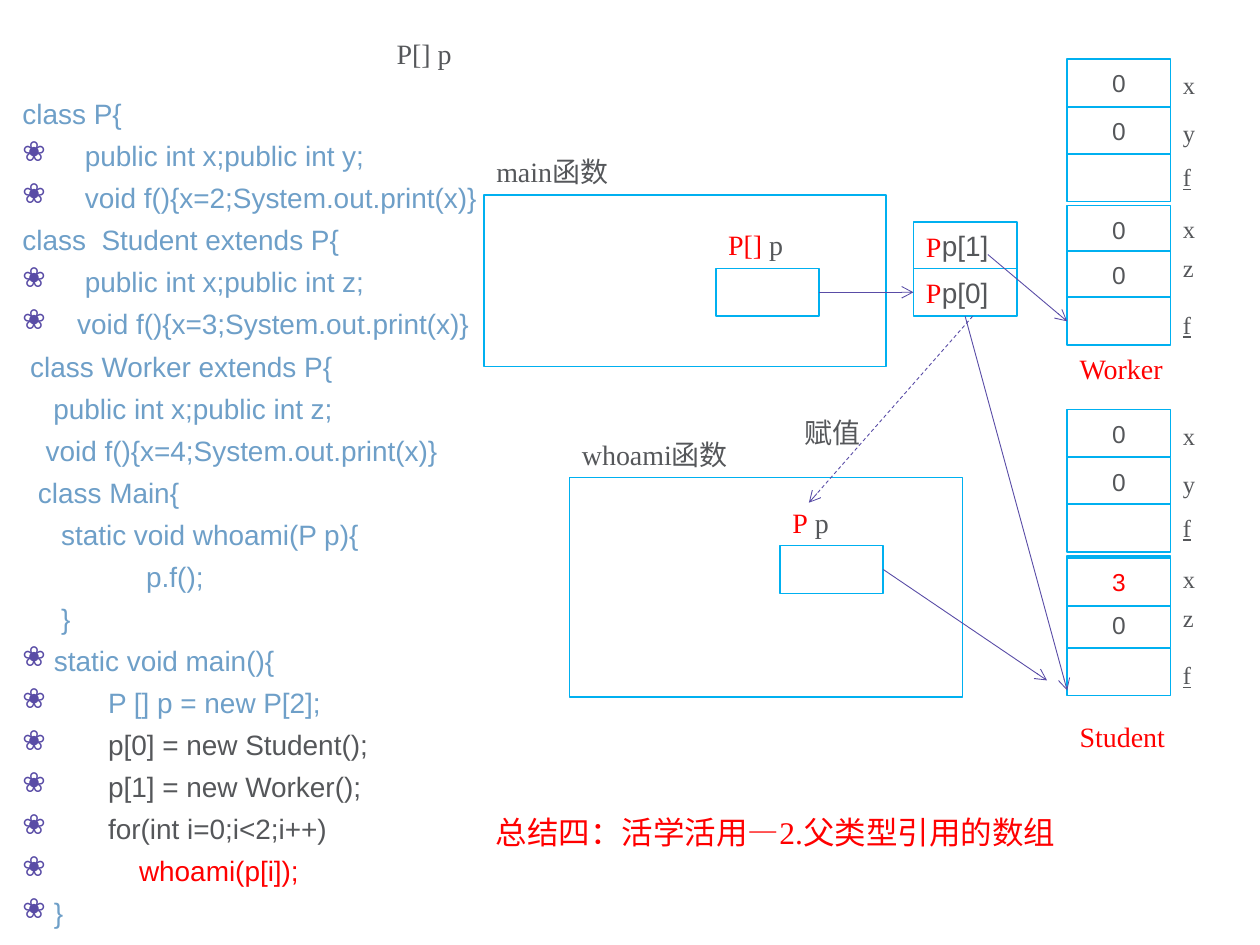
from lxml import etree
from pptx import Presentation
from pptx import util as u
from pptx.dml.color import RGBColor
from pptx.enum import dml, shapes, text
from pptx.oxml import ns

COLS, ROWS = 100, 75
UNIT = u.Inches(0.1)
GRAY = RGBColor(0x55, 0x57, 0x5A)
BLUE = RGBColor(0x6E, 0x9F, 0xC8)
CYAN = RGBColor(0x00, 0xB0, 0xF0)
PLUM = RGBColor(0x59, 0x4C, 0xA6)
RED = RGBColor(0xFF, 0x00, 0x00)
WHITE = RGBColor(0xFF, 0xFF, 0xFF)
SERIF, SANS = "Times New Roman", "Arial"

CELL_W, CELL_H = 8.2, 3.8
CELLS = [(0, "0"), (3.8, "0"), (7.5, ""), (11.6, "0"), (15.2, "0"), (18.9, "")]
MARKS = [(0.4, "x"), (4.2, "y"), (7.7, "f"), (11.8, "x"), (14.9, "z"), (19.4, "f")]

CODE = [
    (False, [("class P{", BLUE)]),
    (True, [("    public int x;public int y;", BLUE)]),
    (True, [("    void f(){x=2;System.out.print(x)}", BLUE)]),
    (False, [("class  Student extends P{", BLUE)]),
    (True, [("    public int x;public int z;", BLUE)]),
    (True, [("   void f(){x=3;System.out.print(x)}", BLUE)]),
    (False, [(" class Worker extends P{", BLUE)]),
    (False, [("    public int x;public int z;", BLUE)]),
    (False, [("   void f(){x=4;System.out.print(x)}", BLUE)]),
    (False, [("  class Main{", BLUE)]),
    (False, [("     static void whoami(P p){", BLUE)]),
    (False, [("                p.f();", BLUE)]),
    (False, [("     }", BLUE)]),
    (True, [("static void main(){", BLUE)]),
    (True, [("       P [] p = new P[2];", BLUE)]),
    (True, [("       p[0] = new Student();", GRAY)]),
    (True, [("       p[1] = new Worker();", GRAY)]),
    (True, [("       for(int i=0;i<2;i++)", GRAY)]),
    (True, [("           whoami(p[i]);", RED)]),
    (True, [("}", BLUE)]),
]


def grid(*vals):
    return [u.Emu(round(v * UNIT)) for v in vals]


def style(obj, form):
    for key, val in form.items():
        setattr(obj, key, val)


def write(para, runs, **form):
    for words, color in runs:
        run = para.add_run()
        run.text = words
        style(run.font, form)
        run.font.color.rgb = color


def label(slide, place, runs, size=16, line=False, mid=False):
    frame = slide.shapes.add_textbox(*grid(*place)).text_frame
    style(frame, {"word_wrap": not mid,
                  "auto_size": text.MSO_AUTO_SIZE.SHAPE_TO_FIT_TEXT})
    para = frame.paragraphs[0]
    if mid:
        para.alignment = text.PP_ALIGN.CENTER
    write(para, runs, name=SERIF, size=u.Pt(size), underline=line)


def box(slide, place, words="", size=14, color=GRAY):
    rect = slide.shapes.add_shape(shapes.MSO_SHAPE.RECTANGLE, *grid(*place))
    rect.shadow.inherit = False
    rect.fill.solid()
    rect.fill.fore_color.rgb = WHITE
    rect.line.color.rgb = CYAN
    rect.line.width = u.Pt(1)
    if words:
        rect.text_frame.vertical_anchor = text.MSO_ANCHOR.MIDDLE
        para = rect.text_frame.paragraphs[0]
        para.alignment = text.PP_ALIGN.CENTER
        write(para, [(words, color)], name=SANS, size=u.Pt(size))
    return rect


def arrow(slide, start, end, tail=None, head=None, dash=False):
    link = slide.shapes.add_connector(
        shapes.MSO_CONNECTOR.STRAIGHT, *grid(*start, *end))
    if tail:
        link.begin_connect(*tail)
    if head:
        link.end_connect(*head)
    link.line.color.rgb = PLUM
    link.line.width = u.Pt(0.5)
    if dash:
        link.line.dash_style = dml.MSO_LINE.DASH
    etree.SubElement(link.line._get_or_add_ln(), ns.qn("a:tailEnd"), type="arrow")
    etree.SubElement(link._element.spPr, ns.qn("a:effectLst"))


def bullet(props):
    tint = etree.SubElement(props, ns.qn("a:buClr"))
    etree.SubElement(tint, ns.qn("a:srgbClr"), val=str(PLUM))
    etree.SubElement(props, ns.qn("a:buChar"), char="❀")


def code(slide, place):
    frame = slide.shapes.add_textbox(*grid(*place)).text_frame
    style(frame, {"word_wrap": True, "margin_top": 6 * UNIT})
    for row, (mark, runs) in enumerate(CODE):
        para = frame.add_paragraph() if row else frame.paragraphs[0]
        style(para, {"line_spacing": 0.7, "space_before": u.Pt(10.6 if row else 0)})
        props = para._p.get_or_add_pPr()
        props.set("marL", str(u.Inches(0.25)))
        props.set("indent", str(-u.Inches(0.25)))
        if mark:
            bullet(props)
        write(para, runs, name=SANS, size=u.Pt(16))


def memory(slide, top, name, drop, fresh=None):
    left = 84.7
    rects = []
    for step, (dy, word) in enumerate(CELLS):
        word = "" if fresh and step == 3 else word
        rects.append(box(slide, (left, top + dy, CELL_W, CELL_H), word))
    for dy, word in MARKS:
        label(slide, (92.9, top + dy, 5.3, 3.4), [(word, GRAY)], 14, word == "f")
    label(slide, (left, top + drop, 9.2, 3.7), [(name, RED)])
    if fresh:
        box(slide, (left, top + 11.8, CELL_W, CELL_H), fresh, color=RED)
    return rects


def frame(slide, place, name, x, y, kind):
    left, top, wide, high = place
    box(slide, place)
    label(slide, (left, top - 3.7, 31.2, 3.7), [(name, GRAY)])
    label(slide, (x, y - 3.7, 11.7, 3.7), [(kind, RED), (" p", GRAY)])
    return box(slide, (x, y, CELL_W, CELL_H))


def main():
    deck = Presentation()
    style(deck, {"slide_width": COLS * UNIT, "slide_height": ROWS * UNIT})
    slide = deck.slides.add_slide(deck.slide_layouts[6])

    code(slide, (0.8, 2.4, 45.1, 70.2))
    label(slide, (30.5, 2.4, 11.7, 3.7), [("P[] p", GRAY)])
    worker = memory(slide, 4.7, "Worker", 22.7)
    memory(slide, 32.5, "Student", 24.1, "3")
    whoami = frame(slide, (45.2, 37.9, 31.2, 17.4), "whoami函数", 61.9, 43.3, "P")
    start = frame(slide, (38.4, 15.5, 31.9, 13.6), "main函数", 56.8, 21.3, "P[]")

    slots = []
    for row, word in enumerate(["p[1]", "p[0]"]):
        top = 17.6 + 3.7 * row
        slots.append(box(slide, (72.5, top, CELL_W, CELL_H), word, 16))
        label(slide, (72.5, top + 0.1, 9.2, 3.7), [("P", RED)])

    arrow(slide, (65, 23.2), (72.5, 23.2), (start, 3), (slots[1], 1))
    arrow(slide, (76.6, 25.1), (84.7, 54.8), (slots[1], 2))
    arrow(slide, (77.2, 25.1), (64.2, 39.9), dash=True)
    arrow(slide, (78.4, 20.2), (84.7, 25.6), head=(worker[5], 1))
    arrow(slide, (70.1, 45.2), (83.1, 54), (whoami, 3))
    label(slide, (62.9, 32.5, 9.7, 3.7), [("赋值", GRAY)])
    label(slide, (37.8, 64, 47.5, 4),
          [("总结四：活学活用—2.父类型引用的数组", RED)], 18, mid=True)
    deck.save("out.pptx")


if __name__ == "__main__":
    main()
